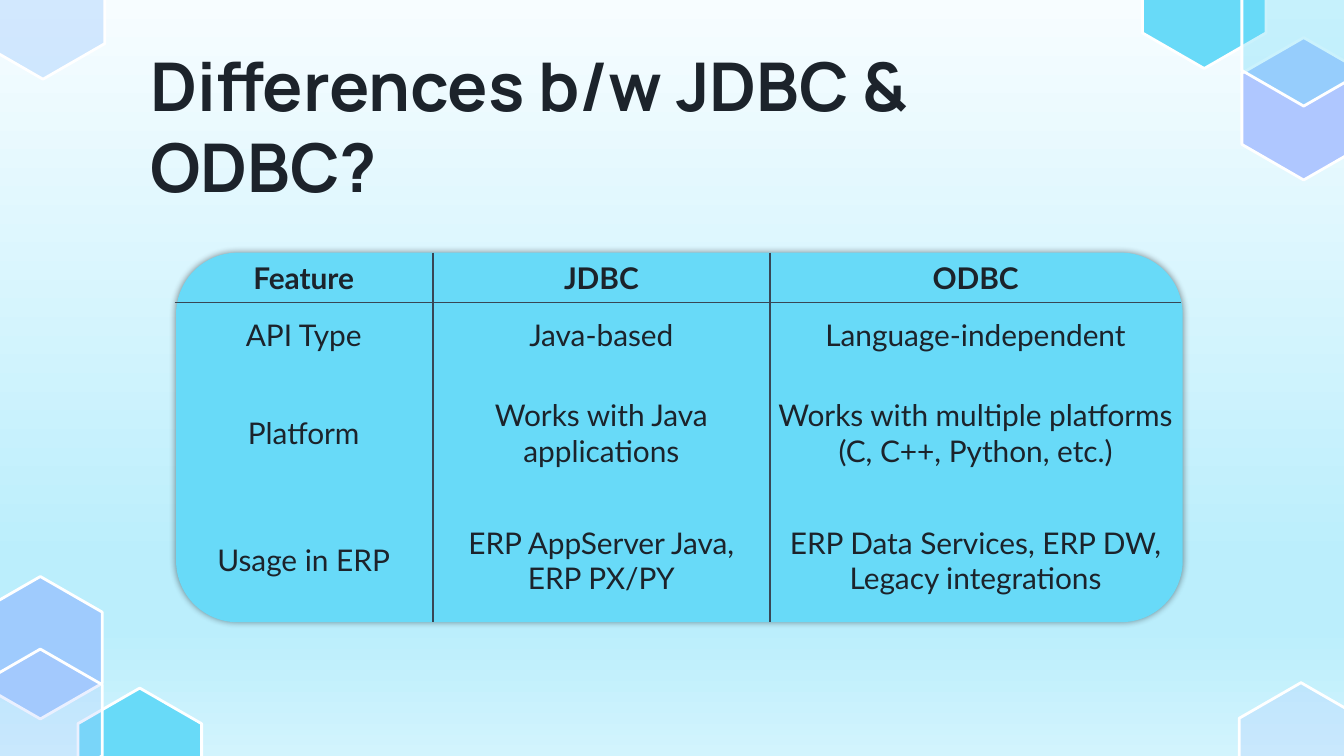
"""Build a slide that compares JDBC and ODBC in a table on a rounded panel."""
from lxml import etree
from pptx import Presentation
from pptx.dml.color import RGBColor
from pptx.enum import shapes, text
from pptx.oxml.ns import qn
from pptx.util import Inches, Pt

COLORS = {"ink": "1C232B", "rule": "384655", "cyan": "68DAF8", "blue": "9FCBFD",
          "violet": "AFC7FF", "white": "FFFFFF", "shadow": "000000"}
BACKGROUND = [(0, "F7FDFF"), (74, "BBEEFC"), (83, "BBEEFC"), (100, "D2F4FD")]
TITLE = "Differences b/w JDBC & ODBC?"
ROWS = [
    ("Feature", "JDBC", "ODBC"),
    ("API Type", "Java-based", "Language-independent"),
    ("Platform", "Works with Java applications",
     "Works with multiple platforms (C, C++, Python, etc.)"),
    ("Usage in ERP", "ERP AppServer Java, ERP PX/PY",
     "ERP Data Services, ERP DW, Legacy integrations"),
]
COLUMN_WIDTHS = [1.92, 2.51, 3.06]
ROW_HEIGHTS = [0.37, 0.48, 0.98, 0.92]
TABLE_LEFT, TABLE_TOP = 1.3, 1.88
HEX_WIDTH, HEX_HEIGHT = 0.92, 1.06
HEXAGONS = [
    (0.58, 5.12, "cyan", 100), (-0.16, 4.29, "blue", 100),
    (-0.16, 4.83, "violet", 25), (9.22, 5.08, "violet", 25),
    (-0.14, -0.47, "blue", 41), (8.5, -0.55, "cyan", 100),
    (9.24, 0.28, "violet", 100), (9.24, -0.27, "cyan", 34),
]
PLAIN_TABLE_STYLE = "{2D5ABB26-0587-4C30-8999-92F81FD0307C}"


def add_node(parent, tag, **attributes):
    return etree.SubElement(parent, qn(tag), {k: str(v) for k, v in attributes.items()})


def rgb(name):
    return RGBColor.from_string(COLORS[name])


def style_font(para, face, size, bold):
    for span in para.runs:
        span.font.name, span.font.size, span.font.bold = face, Pt(size), bold
        span.font.color.rgb = rgb("ink")


def paint_background(slide):
    slide.background.fill.gradient()
    gradient = next(slide.element.iter(qn("a:gradFill")))
    stops = gradient.find(qn("a:gsLst"))
    for stop in list(stops):
        stops.remove(stop)
    for position, color in BACKGROUND:
        stop = add_node(stops, "a:gs", pos=position * 1000)
        add_node(stop, "a:srgbClr", val=color)
    gradient.find(qn("a:lin")).set("ang", str(90 * 60000))


def add_hexagon(slide, left, top, color, opacity):
    middle, right = left + HEX_WIDTH / 2, left + HEX_WIDTH
    upper, lower = top + HEX_HEIGHT / 4, top + HEX_HEIGHT * 3 / 4
    corners = [(middle, top), (left, upper), (left, lower),
               (middle, top + HEX_HEIGHT), (right, lower), (right, upper)]
    points = [(Inches(x), Inches(y)) for x, y in corners]
    builder = slide.shapes.build_freeform(*points[0])
    builder.add_line_segments(points[1:], close=True)
    hexagon = builder.convert_to_shape()
    hexagon.shadow.inherit = False
    hexagon.fill.solid()
    hexagon.fill.fore_color.rgb = rgb(color)
    if opacity < 100:
        fill_color = hexagon.element.spPr.find(qn("a:solidFill"))[0]
        add_node(fill_color, "a:alpha", val=opacity * 1000)
    hexagon.line.color.rgb = rgb("white")
    hexagon.line.width = Pt(1.5)


def add_panel(slide):
    panel = slide.shapes.add_shape(
        shapes.MSO_SHAPE.ROUNDED_RECTANGLE, Inches(TABLE_LEFT + 0.01), Inches(TABLE_TOP),
        Inches(sum(COLUMN_WIDTHS)), Inches(sum(ROW_HEIGHTS)))
    panel.fill.solid()
    panel.fill.fore_color.rgb = rgb("cyan")
    panel.line.fill.background()
    panel.shadow.inherit = False
    effects = panel.element.spPr.find(qn("a:effectLst"))
    shadow = add_node(effects, "a:outerShdw", blurRad=Pt(4), dist=0,
                      dir=90 * 60000, algn="bl", rotWithShape=0)
    shadow_color = add_node(shadow, "a:srgbClr", val=COLORS["shadow"])
    add_node(shadow_color, "a:alpha", val=43000)


def add_border(cell, side, shown):
    border = add_node(cell._tc.get_or_add_tcPr(), f"a:ln{side}", w=Pt(1))
    if shown:
        add_node(add_node(border, "a:solidFill"), "a:srgbClr", val=COLORS["rule"])
    else:
        add_node(border, "a:noFill")


def add_comparison(slide):
    frame = slide.shapes.add_table(
        len(ROWS), len(COLUMN_WIDTHS), Inches(TABLE_LEFT), Inches(TABLE_TOP),
        Inches(sum(COLUMN_WIDTHS)), Inches(sum(ROW_HEIGHTS)))
    table = frame.table
    table.horz_banding = False
    next(frame.element.iter(qn("a:tableStyleId"))).text = PLAIN_TABLE_STYLE
    for column, width in zip(table.columns, COLUMN_WIDTHS):
        column.width = Inches(width)
    for row, height in zip(table.rows, ROW_HEIGHTS):
        row.height = Inches(height)
    for r, labels in enumerate(ROWS):
        for c, label in enumerate(labels):
            cell = table.cell(r, c)
            cell.text_frame.text = label
            cell.vertical_anchor = text.MSO_ANCHOR.MIDDLE
            cell.margin_left = cell.margin_right = Inches(0.05)
            cell.margin_top = cell.margin_bottom = Inches(0.03)
            para = cell.text_frame.paragraphs[0]
            para.alignment = text.PP_ALIGN.CENTER
            style_font(para, "Lato", 16, r == 0)
            edges = {"L": c > 0, "R": c < len(labels) - 1, "T": r == 1, "B": r == 0}
            for side, shown in edges.items():
                add_border(cell, side, shown)
            cell.fill.background()


def add_title(slide):
    box = slide.shapes.add_textbox(Inches(1.02), Inches(0.75), Inches(7.2), Inches(0.88))
    frame = box.text_frame
    frame.word_wrap = True
    frame.vertical_anchor = text.MSO_ANCHOR.BOTTOM
    frame.margin_left = frame.margin_right = Inches(0.1)
    frame.margin_top = frame.margin_bottom = Inches(0.1)
    frame.text = TITLE
    style_font(frame.paragraphs[0], "Manrope", 36, True)


def main():
    deck = Presentation()
    deck.slide_width = Inches(10)
    deck.slide_height = deck.slide_width * 9 // 16
    slide = deck.slides.add_slide(deck.slide_layouts[6])
    paint_background(slide)
    for hexagon in HEXAGONS:
        add_hexagon(slide, *hexagon)
    add_panel(slide)
    add_comparison(slide)
    add_title(slide)
    deck.save("out.pptx")


if __name__ == "__main__":
    main()
